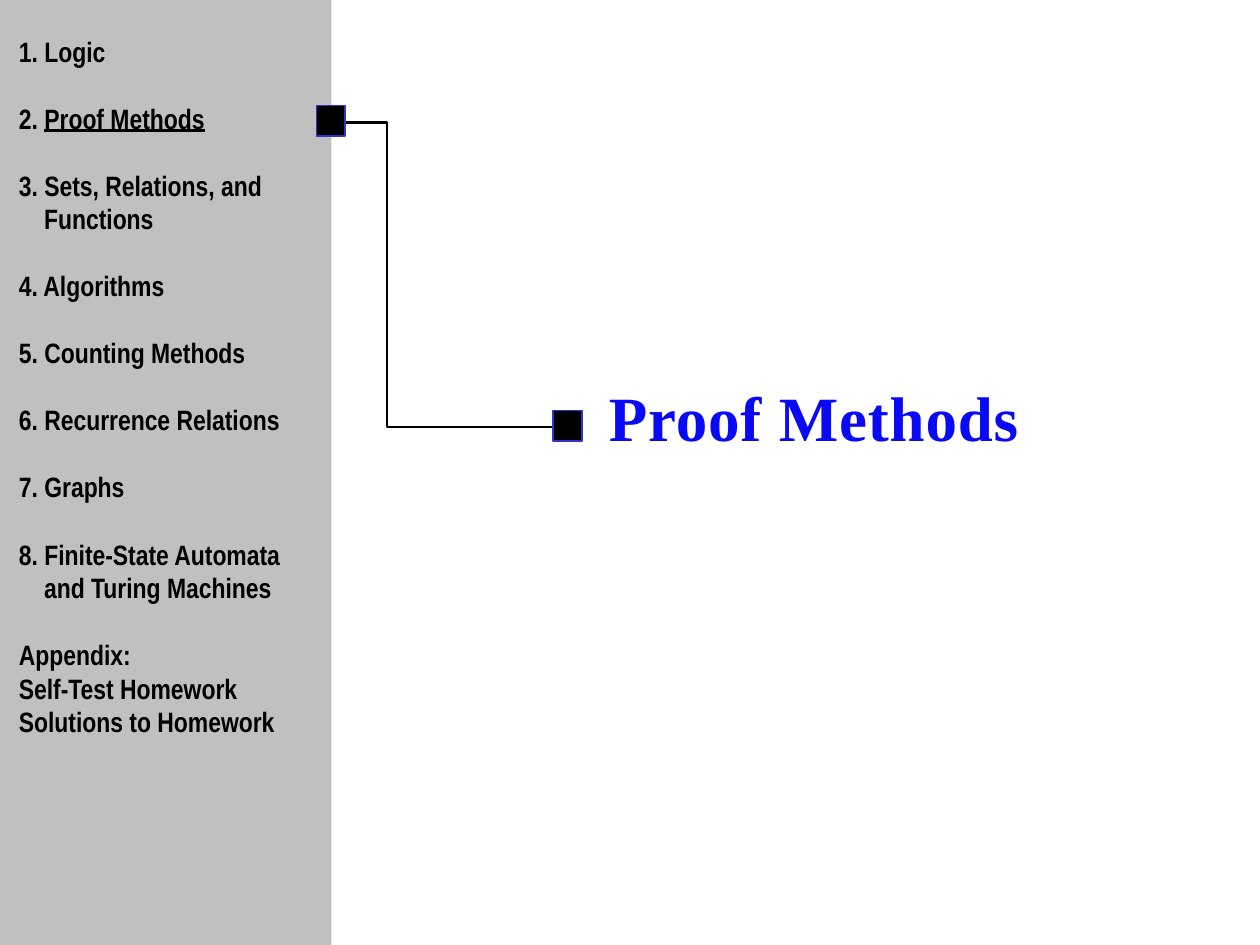
from dataclasses import dataclass

from pptx import Presentation
from pptx.dml.color import RGBColor as Color
from pptx.enum.shapes import MSO_SHAPE as Preset
from pptx.enum.text import MSO_ANCHOR as Anchor, MSO_AUTO_SIZE as AutoSize, PP_ALIGN as Align
from pptx.util import Inches, Pt


@dataclass(frozen=True)
class Theme:
    sidebar = Color.from_string("C0C0C0")
    ink = Color.from_string("000000")
    marker_edge = Color.from_string("3333CC")
    title = Color.from_string("0909F6")
    title_font = "Times New Roman"
    list_font = "Arial Narrow"
    title_size = Pt(36)
    list_size = Pt(16)
    entry_gap = Pt(19.15)


def place(shape, left, top, width, height):
    shape.left, shape.top = Inches(left), Inches(top)
    shape.width, shape.height = Inches(width), Inches(height)


def add_box(shapes, left, top, width, height, fill):
    box = shapes.add_shape(Preset.RECTANGLE, 0, 0, 0, 0)
    place(box, left, top, width, height)
    box.shadow.inherit = False
    box.fill.solid()
    box.fill.fore_color.rgb = fill
    box.line.fill.background()
    return box


theme = Theme()
presentation = Presentation()
presentation.slide_width, presentation.slide_height = Inches(10), Inches(7.5)
slide = presentation.slides.add_slide(presentation.slide_layouts[1])
shapes = slide.shapes
title, contents = shapes.title, slide.placeholders[1]

place(title, 4.71, 2.95, 3.5, 0.71)
title.text_frame.text = "Proof Methods"
title.text_frame.word_wrap = False
title.text_frame.auto_size = AutoSize.NONE
heading = title.text_frame.paragraphs[0]
heading.alignment = Align.CENTER
heading_run = heading.runs[0]
heading_run.font.name = theme.title_font
heading_run.font.size = theme.title_size
heading_run.font.bold = True
heading_run.font.color.rgb = theme.title
heading_run.font._element.set("spc", "50")

add_box(shapes, 0, 0, 2.63, 7.5, theme.sidebar)

route = [(Inches(x), Inches(y)) for x, y in
         [(2.54, 0.97), (3.07, 0.97), (3.07, 3.39), (4.39, 3.39)]]
builder = shapes.build_freeform(*route[0])
builder.add_line_segments(route[1:], close=False)
link = builder.convert_to_shape()
link.shadow.inherit = False
link.fill.background()
link.line.color.rgb = theme.ink
link.line.width = Pt(1.5)

for left, top in [(4.39, 3.26), (2.51, 0.84)]:
    marker = add_box(shapes, left, top, 0.23, 0.24, theme.ink)
    marker.line.color.rgb = theme.marker_edge
    marker.line.width = Pt(0.75)

chapters = [
    "Logic",
    "Proof Methods",
    "Sets, Relations, and\vFunctions",
    "Algorithms",
    "Counting Methods",
    "Recurrence Relations",
    "Graphs",
    "Finite-State Automata\vand Turing Machines",
]
current_chapter = "Proof Methods"
appendix = "Appendix:\vSelf-Test Homework\vSolutions to Homework"
entries = [(f"{number}. ", name, 0.2) for number, name in enumerate(chapters, 1)]
entries.append(("", appendix, 0))

place(contents, 0.05, 0.22, 2.61, 6.03)
contents.element.getparent().append(contents.element)
frame = contents.text_frame
frame.word_wrap = True
frame.auto_size = AutoSize.NONE
frame.vertical_anchor = Anchor.TOP
for index, (number, name, hang) in enumerate(entries):
    paragraph = frame.add_paragraph() if index else frame.paragraphs[0]
    paragraph.text = number + name
    if name == current_chapter:
        paragraph.text = number
        paragraph.add_run().text = name
        paragraph.runs[-1].font.underline = True
    paragraph.alignment = Align.LEFT
    paragraph.space_before = theme.entry_gap if index else Pt(0)
    properties = paragraph._p.get_or_add_pPr()
    properties.set("marL", str(Inches(hang)))
    properties.set("indent", str(-Inches(hang)))
    properties.append(properties.makeelement(
        "{http://schemas.openxmlformats.org/drawingml/2006/main}buNone", {}))
    for run in paragraph.runs:
        run.font.name = theme.list_font
        run.font.size = theme.list_size
        run.font.bold = True
        run.font.color.rgb = theme.ink

presentation.save("out.pptx")
